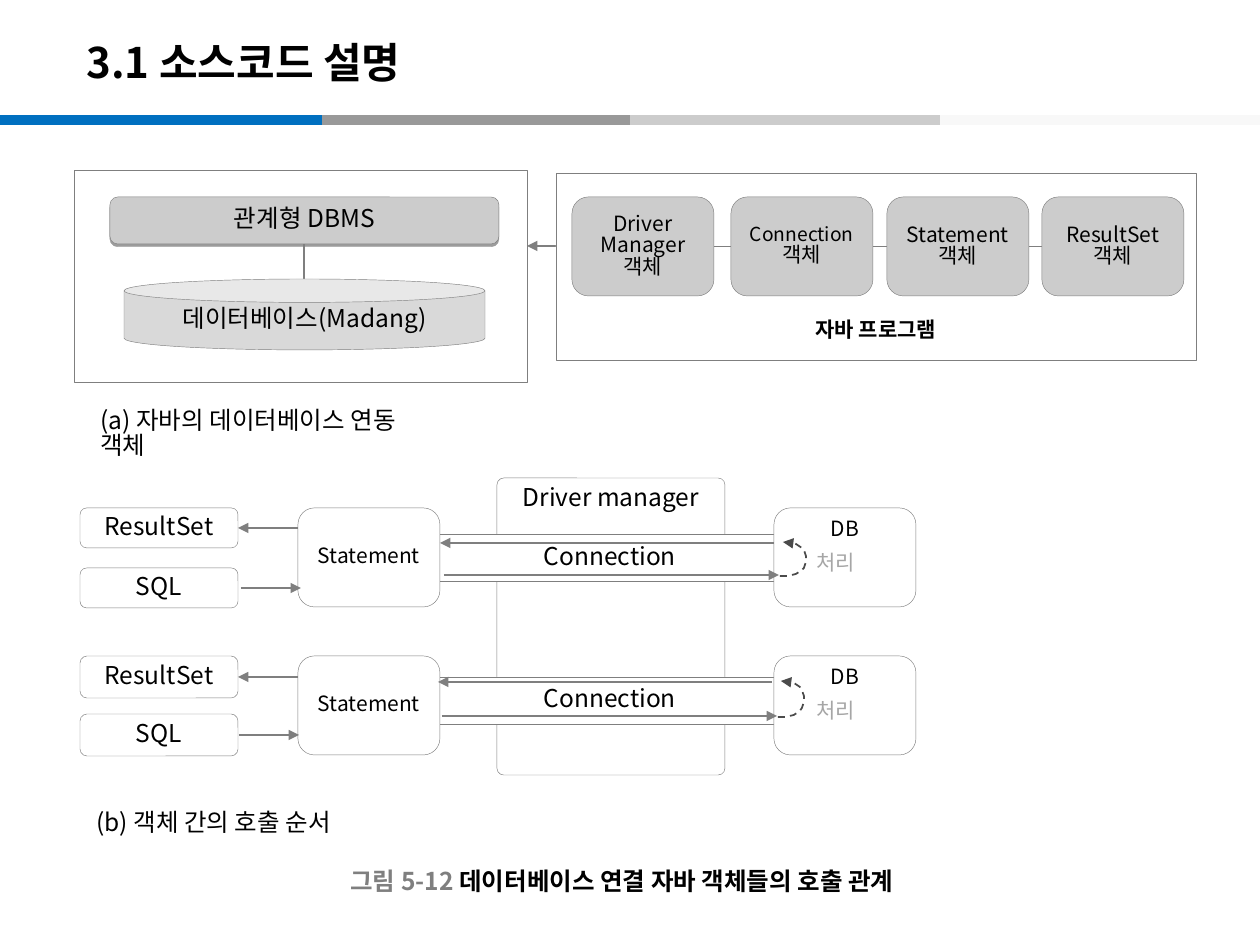
import copy
import math

from lxml import etree
from pptx import Presentation
from pptx import util as u
from pptx.dml.color import RGBColor
from pptx.enum import dml, shapes, text
from pptx.oxml import parse_xml
from pptx.oxml.ns import qn

PX = 7257  # EMU per px, 126 px to the inch
FONT = "Noto Sans CJK KR"
GREY, BLACK, WHITE = "7F7F7F", "000000", "FFFFFF"
ROUND, RECT = shapes.MSO_SHAPE.ROUNDED_RECTANGLE, shapes.MSO_SHAPE.RECTANGLE
TOP, MIDDLE, BOTTOM = text.MSO_ANCHOR.TOP, text.MSO_ANCHOR.MIDDLE, text.MSO_ANCHOR.BOTTOM
LEFT, CENTER = text.PP_ALIGN.LEFT, text.PP_ALIGN.CENTER
rgb = RGBColor.from_string

deck = Presentation()
deck.slide_width, deck.slide_height = u.Inches(10), u.Inches(7.5)
page = deck.slides.add_slide(deck.slide_layouts[6])


def add_box(kind, place, words="", size=12, fill=WHITE, color=BLACK, bold=False,
            anchor=MIDDLE, align=CENTER, wrap=True):
    """Add a preset shape, or a plain text box when kind is None."""
    area = [v * PX for v in place]
    if kind is None:
        box = page.shapes.add_textbox(*area)
    else:
        box = page.shapes.add_shape(kind, *area)
        box.shadow.inherit = False
        box.fill.solid()
        box.fill.fore_color.rgb = rgb(fill)
        box.line.color.rgb = rgb(GREY)
        box.line.width = u.Pt(0.25)
    frame = box.text_frame
    frame.text = words
    frame.word_wrap = wrap
    frame.vertical_anchor = anchor
    for para in frame.paragraphs:
        para.alignment = align
        para.line_spacing = 0.85
        for span in para.runs:
            span.font.name = FONT
            span.font.size = u.Pt(size)
            span.font.bold = bold
            span.font.color.rgb = rgb(color)
            etree.SubElement(span.font._element, qn("a:ea"), typeface=FONT)
    return box


def add_line(x1, y1, x2, y2, color=GREY, width=1.5, arrow=False):
    """Add a straight line; an arrow points at its second end."""
    line = page.shapes.add_connector(shapes.MSO_CONNECTOR.STRAIGHT,
                                     x1 * PX, y1 * PX, x2 * PX, y2 * PX)
    line.line.color.rgb = rgb(color)
    line.line.width = u.Pt(width)
    if arrow:
        etree.SubElement(line.line._get_or_add_ln(), qn("a:tailEnd"), type="triangle")
    etree.SubElement(line._element.spPr, qn("a:effectLst"))


# Heading
for start, end, color in [(0, 322, "0070C0"), (322, 645, "999999"),
                          (630, 953, "CCCCCC"), (940, 1260, "F8F8F8")]:
    add_line(start, 120, end, 120, color, 6)
add_box(None, (74, 28, 1042, 76), "3.1 소스코드 설명", 24, bold=True, align=LEFT)

# (a) Database side
add_box(RECT, (74, 170, 453, 212))
add_line(556, 246, 527, 246, arrow=True)
dbms = add_box(ROUND, (110, 197, 389, 47), "관계형 DBMS", 14, "CCCCCC")
dbms._element.spPr.remove(dbms._element.spPr.find(qn("a:effectLst")))
dbms._element.spPr.append(parse_xml(
    '<a:effectLst xmlns:a="http://schemas.openxmlformats.org/drawingml/2006/main">'
    '<a:outerShdw blurRad="0" dist="20320" dir="5400000" rotWithShape="0">'
    '<a:srgbClr val="000000"><a:alpha val="38000"/></a:srgbClr>'
    '</a:outerShdw></a:effectLst>'))
add_line(304, 244, 304, 280, width=1)
add_box(shapes.MSO_SHAPE.CAN, (124, 279, 361, 71), "데이터베이스(Madang)", 14,
        "D9D9D9").adjustments[0] = 0.33

# (a) Program side
program = add_box(RECT, (556, 173, 640, 187), "자바 프로그램", bold=True, anchor=BOTTOM)
program.text_frame.margin_bottom = 18 * PX
lefts = [572, 731, 887, 1042]
labels = ["Driver Manager\n객체", "Connection\n객체", "Statement객체", "ResultSet\n객체"]
for left, following in zip(lefts, lefts[1:]):
    add_line(left + 142, 246, following, 246, width=0.25)
for left, label in zip(lefts, labels):
    card = add_box(ROUND, (left, 197, 142, 99), label, fill="CCCCCC")
    if label.startswith("Connection"):
        card.text_frame.paragraphs[0].runs[0].font.size = u.Pt(11)
add_box(None, (88, 403, 360, 68), "(a) 자바의 데이터베이스 연동 객체", 14,
        anchor=TOP, align=LEFT)

# (b) Call order
manager = add_box(ROUND, (497, 478, 228, 297), "Driver manager", 14, anchor=TOP)
manager.adjustments[0] = 0.03
# top of row, top of connection, height of small boxes, y of return and call, x shift
for top, link, small, back, out, shift in [(508, 534, 40, 543, 575, 0),
                                           (656, 677, 42, 682, 716, -2)]:
    sql = top + 100 - small
    add_box(RECT, (377, link, 466, 47), "Connection", 14)
    add_box(ROUND, (298, top, 142, 99), "Statement")
    add_box(ROUND, (774, top, 142, 99), "DB", anchor=TOP)
    add_box(ROUND, (80, top, 158, small), "ResultSet", 14)
    add_box(ROUND, (80, sql, 158, small), "SQL", 14)
    add_line(774 + shift, back, 440 + shift, back, arrow=True)
    add_line(444 + shift, out, 779 + shift, out, arrow=True)
    add_line(298, top + small // 2, 238, top + small // 2, arrow=True)
    add_line(241 + shift, sql + small // 2, 301 + shift, sql + small // 2, arrow=True)

    middle, radius = (back + out) / 2, (out - back) / 2 + 1
    turns = [math.radians(angle) for angle in range(90, -91, -10)]
    points = [(780 + shift + 26 * math.cos(turn) ** 0.7 if math.cos(turn) > 0.01
               else 780 + shift, middle + radius * math.sin(turn)) for turn in turns]
    points[-1] = (783 + shift, middle - radius)
    builder = page.shapes.build_freeform(*points[0], scale=PX)
    builder.add_line_segments(points[1:], close=False)
    process = builder.convert_to_shape()
    process.shadow.inherit = False
    process.fill.background()
    process.line.color.rgb = rgb("4B4B4B")
    process.line.width = u.Pt(1)
    process.line.dash_style = dml.MSO_LINE.DASH
    etree.SubElement(process.line._get_or_add_ln(), qn("a:tailEnd"), type="triangle")
    add_box(None, (804, top + 39, 137, 38), "처리", color="A6A6A6", anchor=TOP, align=LEFT)
add_box(None, (84, 805, 267, 43), "(b) 객체 간의 호출 순서", 14,
        anchor=TOP, align=LEFT, wrap=False)

# Caption
caption = add_box(None, (338, 863, 600, 40), "그림 5-12 ", 14, color=GREY, bold=True,
                  align=LEFT, wrap=False)
para = caption.text_frame.paragraphs[0]
span = para.add_run()
span.text = "데이터베이스 연결 자바 객체들의 호출 관계"
span._r.insert(0, copy.deepcopy(para.runs[0].font._element))
span.font.color.rgb = rgb(BLACK)

deck.save("out.pptx")
